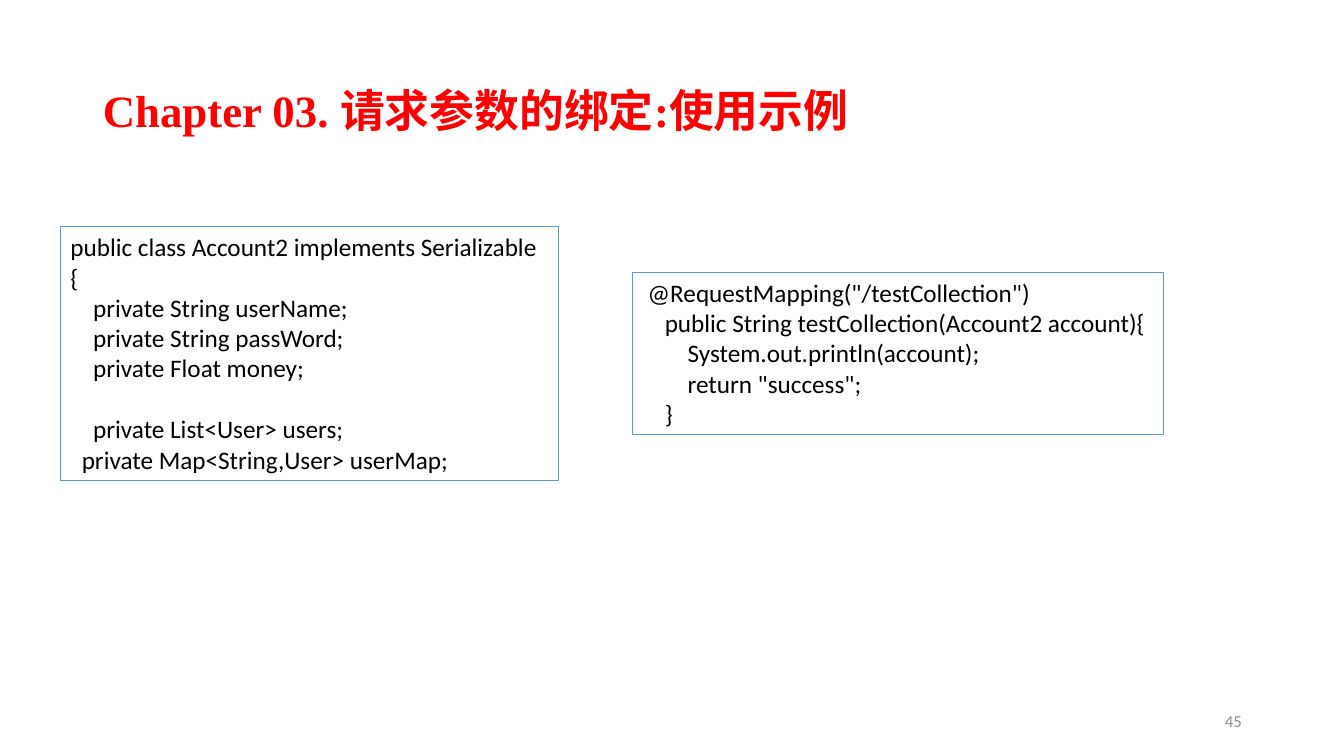
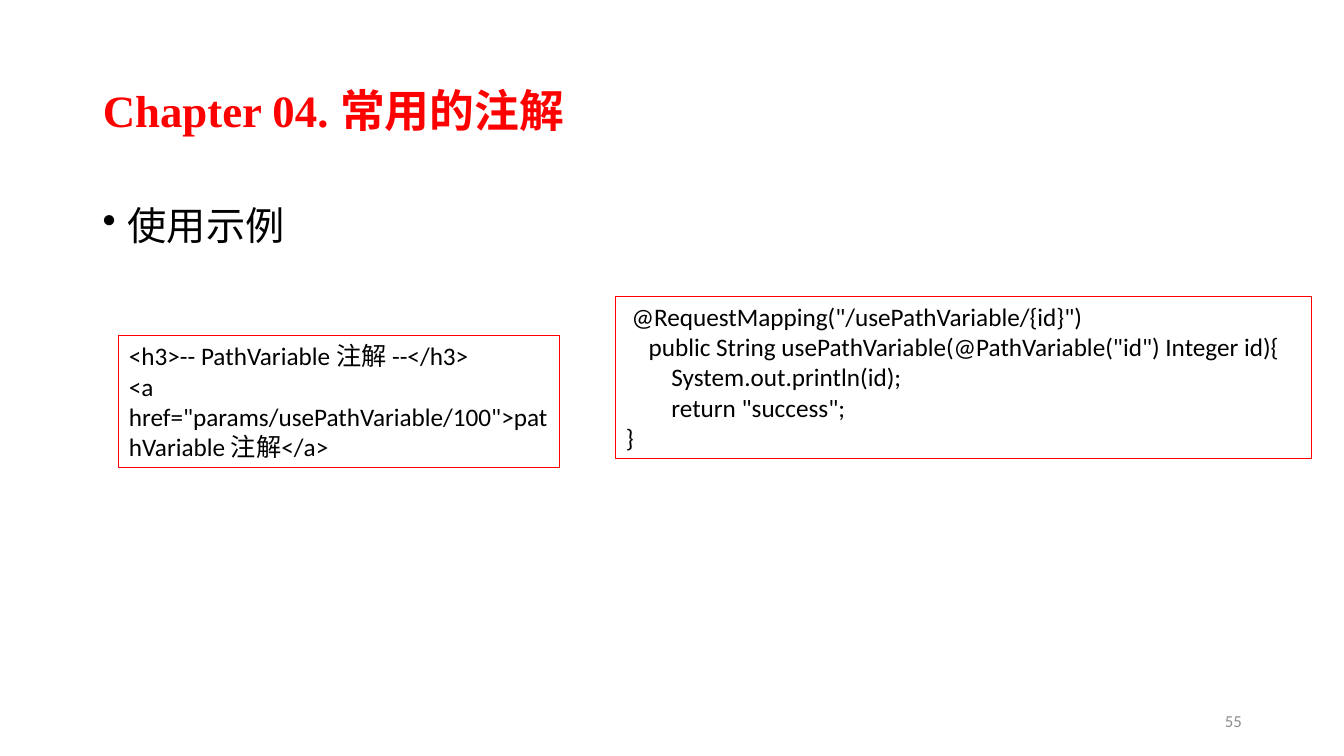
from dataclasses import dataclass

from lxml import etree
from pptx import Presentation
from pptx.dml.color import RGBColor
from pptx.enum.shapes import MSO_SHAPE
from pptx.enum.text import MSO_ANCHOR, MSO_AUTO_SIZE, PP_ALIGN
from pptx.oxml.ns import qn
from pptx.util import Inches, Pt

LEFT, RIGHT = PP_ALIGN.LEFT, PP_ALIGN.RIGHT
TOP, MIDDLE = MSO_ANCHOR.TOP, MSO_ANCHOR.MIDDLE
RECT = MSO_SHAPE.RECTANGLE
NO_FIT, GROW = MSO_AUTO_SIZE.NONE, MSO_AUTO_SIZE.SHAPE_TO_FIT_TEXT


@dataclass(frozen=True)
class Theme:
    red: str = "FF0000"
    blue: str = "5B9BD5"
    black: str = "000000"
    grey: str = "8C8C8C"
    head_font: str = "Times New Roman"
    body_font: str = "Calibri"
    title_pt: int = 32
    bullet_pt: int = 28
    code_pt: int = 18
    number_pt: int = 12
    line_pt: float = 0.75
    char_pt: float = 4.07  # width of one code indent step
    code_line_pt: int = 22  # height of one line of code


T = Theme()

prs = Presentation()
prs.slide_width, prs.slide_height = Inches(13.33), Inches(7.5)
COL, ROW = prs.slide_width / 100, prs.slide_height / 100

# Shared places on a grid of 100 columns and 100 rows: left, top, width, height
TITLE_AREA = (6.9, 5.33, 86.25, 19.33)
BODY_AREA = (6.9, 26.67, 86.25, 63.47)
NUMBER_AREA = (70.65, 92.67, 22.5, 5.33)


def area(col, row, cols, rows):
    return [round(v) for v in (col * COL, row * ROW, cols * COL, rows * ROW)]


def write(tf, lines, size, color=T.black, font=T.body_font, bold=False, align=LEFT,
          anchor=TOP, fit=NO_FIT, spacing=None, before=0, bullet=None):
    """Each line is (indent steps, text) or (indent steps, text, blank lines above)."""
    tf.word_wrap, tf.auto_size, tf.vertical_anchor = True, fit, anchor
    for i, (steps, text, *blank) in enumerate(lines):
        p = tf.paragraphs[0] if i == 0 else tf.add_paragraph()
        p.alignment, p.line_spacing = align, spacing
        p.space_before = Pt(before + sum(blank) * T.code_line_pt)
        pPr = p._p.get_or_add_pPr()
        if bullet:
            pPr.set("marL", str(Inches(0.25)))
            pPr.set("indent", str(-Inches(0.25)))
            etree.SubElement(pPr, qn("a:buChar")).set("char", bullet)
        elif steps:
            pPr.set("marL", str(Pt(steps * T.char_pt)))
        r = p.add_run()
        r.text = text
        r.font.name, r.font.size, r.font.bold = font, Pt(size), bold
        r.font.color.rgb = RGBColor.from_string(color)


# Content: code boxes are (area, lines)
SLIDES = [
    dict(
        title="Chapter 03. 请求参数的绑定:使用示例", number="45", bullets=[], outline=T.blue,
        boxes=[
            ((4.5, 30, 37.05, 33.6), [
                (0, "public class Account2 implements Serializable {"),
                (4, "private String userName;"),
                (4, "private String passWord;"),
                (4, "private Float money;"),
                (4, "private List<User> users;", 1),
                (2, "private Map<String,User> userMap;"),
            ]),
            ((47.03, 36, 39.53, 21.47), [
                (1, '@RequestMapping("/testCollection")'),
                (4, "public String testCollection(Account2 account){"),
                (8, "System.out.println(account);"),
                (8, 'return "success";'),
                (4, "}"),
            ]),
        ],
    ),
    dict(
        title="Chapter 04. 常用的注解", number="55", bullets=[(0, "使用示例")], outline=T.red,
        boxes=[
            ((45.83, 39.2, 51.75, 21.47), [
                (1, '@RequestMapping("/usePathVariable/{id}")'),
                (4, 'public String usePathVariable(@PathVariable("id") Integer id){'),
                (8, "System.out.println(id);"),
                (8, 'return "success";'),
                (0, "}"),
            ]),
            ((8.85, 44.4, 32.8, 17.47), [
                (0, "<h3>-- PathVariable 注解 --</h3>"),
                (0, '<a href="params/usePathVariable/100">pathVariable 注解</a>'),
            ]),
        ],
    ),
]

for page in SLIDES:
    s = prs.slides.add_slide(prs.slide_layouts.get_by_name("Title Only"))

    # Title
    sp = s.shapes.title
    sp.left, sp.top, sp.width, sp.height = area(*TITLE_AREA)
    write(sp.text_frame, [(0, page["title"])], T.title_pt, color=T.red, font=T.head_font,
          bold=True, anchor=MIDDLE, spacing=0.9)

    # Page number
    sp = s.shapes.add_textbox(*area(*NUMBER_AREA))
    write(sp.text_frame, [(0, page["number"])], T.number_pt, color=T.grey, align=RIGHT,
          anchor=MIDDLE)

    # Bullets
    if page["bullets"]:
        sp = s.shapes.add_textbox(*area(*BODY_AREA))
        write(sp.text_frame, page["bullets"], T.bullet_pt, spacing=0.9, before=10, bullet="•")

    # Code boxes
    for place, lines in page["boxes"]:
        sp = s.shapes.add_shape(RECT, *area(*place))
        sp.shadow.inherit = False
        sp.fill.background()
        sp.line.color.rgb = RGBColor.from_string(page["outline"])
        sp.line.width = Pt(T.line_pt)
        write(sp.text_frame, lines, T.code_pt, fit=GROW)

prs.save("out.pptx")
